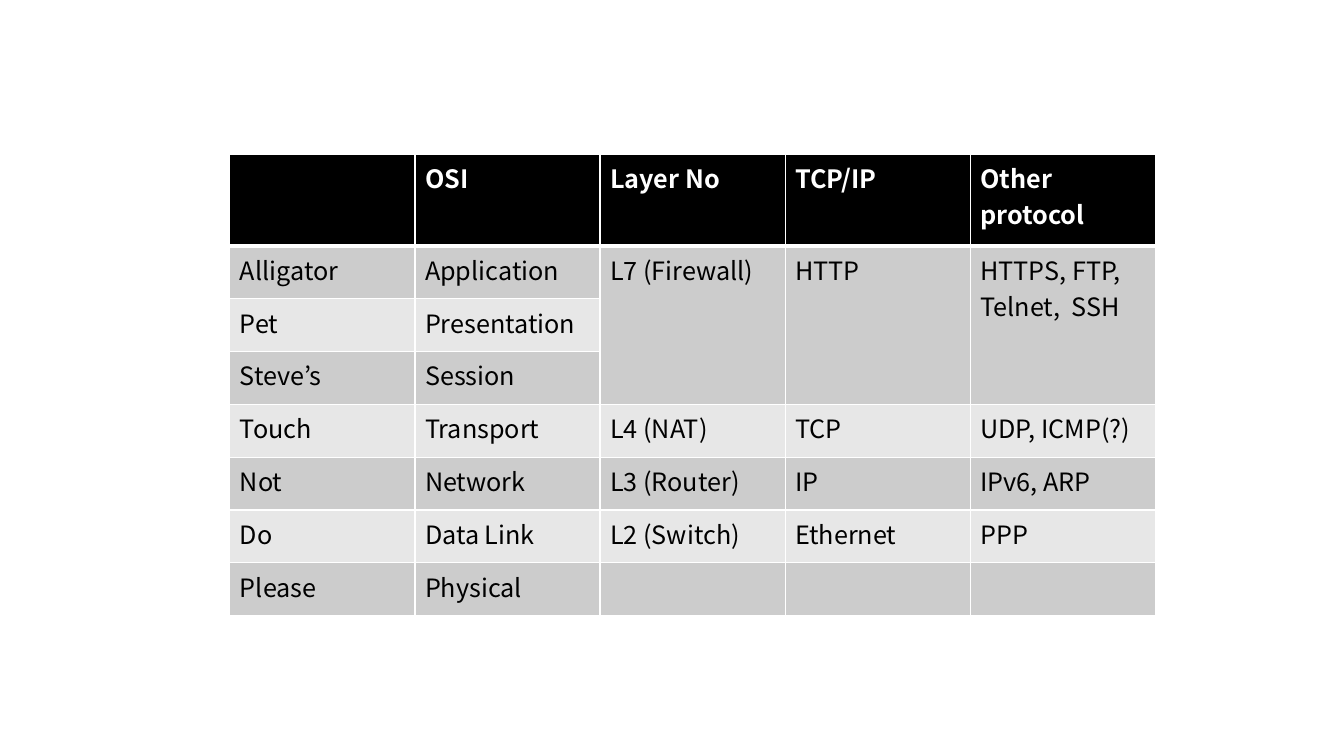
from dataclasses import dataclass

from lxml.etree import SubElement
from pptx import Presentation
from pptx.dml.color import RGBColor
from pptx.oxml.ns import qn
from pptx.util import Emu, Pt

PX = 9144


@dataclass(frozen=True)
class Theme:
    font: str = "Noto Sans CJK KR"
    size: int = 18
    header_fill: str = "000000"
    header_text: str = "FFFFFF"
    band_fills: tuple = ("CCCCCC", "E7E7E7")
    body_text: str = "000000"
    border: str = "FFFFFF"
    thin: int = 1
    thick: int = 3


THEME = Theme()
HEADER_HEIGHT = 91
MERGED_ROWS = (1, 3)
MERGED_COLUMNS = (2, 3, 4)
LAYERS = [
    ("", "OSI", "Layer No", "TCP/IP", "Other protocol"),
    ("Alligator", "Application", "L7 (Firewall)", "HTTP", "HTTPS, FTP, Telnet,  SSH"),
    ("Pet", "Presentation", "", "", ""),
    ("Steve’s", "Session", "", "", ""),
    ("Touch", "Transport", "L4 (NAT)", "TCP", "UDP, ICMP(?)"),
    ("Not", "Network", "L3 (Router)", "IP", "IPv6, ARP"),
    ("Do", "Data Link", "L2 (Switch)", "Ethernet", "PPP"),
    ("Please", "Physical", "", "", ""),
]


def px(length):
    return Emu(round(length * PX))


def add_borders(cell, row):
    widths = {"lnL": THEME.thin, "lnR": THEME.thin,
              "lnT": THEME.thick if row == 1 else THEME.thin,
              "lnB": THEME.thick if row == 0 else THEME.thin}
    properties = cell._tc.get_or_add_tcPr()
    for side, width in widths.items():
        line = SubElement(properties, qn(f"a:{side}"), w=str(Pt(width)))
        fill = SubElement(line, qn("a:solidFill"))
        SubElement(fill, qn("a:srgbClr"), val=THEME.border)


def style_cell(cell, row, text):
    header = row == 0
    add_borders(cell, row)
    cell.fill.solid()
    fill = THEME.header_fill if header else THEME.band_fills[(row - 1) % 2]
    cell.fill.fore_color.rgb = RGBColor.from_string(fill)
    cell.text = text
    font = cell.text_frame.paragraphs[0].font
    font.name = THEME.font
    font.size = Pt(THEME.size)
    font.bold = header
    font.color.rgb = RGBColor.from_string(
        THEME.header_text if header else THEME.body_text)


def add_layer_table(page, box):
    left, top, width, height = box
    table = page.shapes.add_table(
        len(LAYERS), len(LAYERS[0]), *map(px, box)).table
    for column in table.columns:
        column.width = px(width / len(LAYERS[0]))
    for row in table.rows:
        row.height = px((height - HEADER_HEIGHT) / (len(LAYERS) - 1))
    table.rows[0].height = px(HEADER_HEIGHT)
    for row, texts in enumerate(LAYERS):
        for column, text in enumerate(texts):
            style_cell(table.cell(row, column), row, text)
    first, last = MERGED_ROWS
    for column in MERGED_COLUMNS:
        table.cell(first, column).merge(table.cell(last, column))


def main():
    deck = Presentation()
    deck.slide_width, deck.slide_height = px(1333), px(750)
    page = deck.slides.add_slide(deck.slide_layouts[6])
    add_layer_table(page, (228, 153, 918, 458))
    deck.save("out.pptx")


if __name__ == "__main__":
    main()
